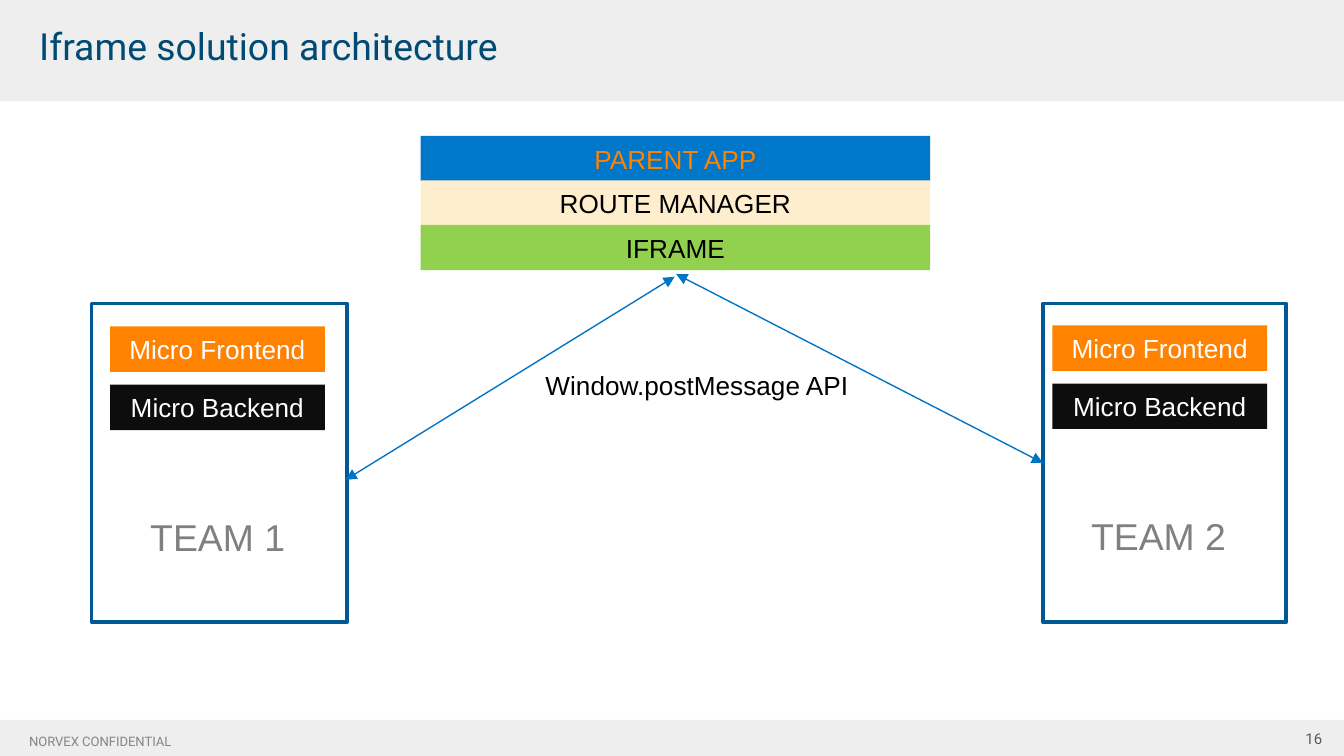
from lxml import etree
from pptx import Presentation
from pptx.dml.color import RGBColor
from pptx.enum.shapes import MSO_CONNECTOR as CONN, MSO_SHAPE as SHAPE
from pptx.enum.text import MSO_ANCHOR as ANCHOR, MSO_AUTO_SIZE as AUTO, PP_ALIGN as ALIGN
from pptx.oxml.ns import qn
from pptx.util import Cm, Pt

COLORS = {
    "band": "EEEEEE", "title": "004A74", "number": "595959", "footer": "868686",
    "blue": "0077C8", "orange": "FF8200", "cream": "FEEECD", "green": "92D050",
    "ink": "0D0D0D", "black": "000000", "white": "FFFFFF", "grey": "808080",
    "frame": "005894", "arrow": "0074C4",
}


def rgb(name):
    return RGBColor.from_string(COLORS[name])


def write(shape, text, size, color, font="Arial", align=ALIGN.LEFT,
          anchor=ANCHOR.TOP, inset=None, spacing=None):
    tf = shape.text_frame
    frame = {"word_wrap": True, "auto_size": AUTO.NONE, "vertical_anchor": anchor}
    if inset is not None:
        for side in ("left", "top", "right", "bottom"):
            frame[f"margin_{side}"] = Cm(inset)
    for name, value in frame.items():
        setattr(tf, name, value)
    p = tf.paragraphs[0]
    p.alignment = align
    if spacing:
        p.line_spacing = spacing
    r = p.add_run()
    r.text = text
    for name, value in {"size": Pt(size), "name": font, "bold": False}.items():
        setattr(r.font, name, value)
    r.font.color.rgb = rgb(color)


def add_box(s, at, fill=None, line=None):
    sp = s.shapes.add_shape(SHAPE.RECTANGLE, *map(Cm, at))
    sp.shadow.inherit = False
    if fill:
        sp.fill.solid()
        sp.fill.fore_color.rgb = rgb(fill)
    else:
        sp.fill.background()
    if line:
        sp.line.color.rgb = rgb(line)
        sp.line.width = Pt(2)
    else:
        sp.line.fill.background()
    return sp


def add_bar(s, at, text, fill, color):
    sp = add_box(s, at, fill)
    write(sp, text, 14, color, align=ALIGN.CENTER, anchor=ANCHOR.MIDDLE)


def add_label(s, at, text, size, color, **fmt):
    write(s.shapes.add_textbox(*map(Cm, at)), text, size, color, **fmt)


def add_title(s, text):
    sp = s.shapes.title
    place = {"left": 0.56, "top": 0.38, "width": 23.11, "height": 0.97}
    for name, value in place.items():
        setattr(sp, name, Cm(value))
    write(sp, text, 20, "title", font="Roboto", anchor=ANCHOR.MIDDLE, inset=0.18)


def add_arrow(s, start, end):
    line = s.shapes.add_connector(CONN.STRAIGHT, *map(Cm, start + end))
    line.line.color.rgb = rgb("arrow")
    line.line.width = Pt(0.75)
    ln = line.line._get_or_add_ln()
    for tag in ("a:headEnd", "a:tailEnd"):
        etree.SubElement(ln, qn(tag), type="triangle")
    etree.SubElement(line._element.spPr, qn("a:effectLst"))
    return line


def add_team(s, name, left, width, bar_left, bar_top, label_left):
    bars = [("Micro Frontend", "orange"), ("Micro Backend", "ink")]
    for i, (text, fill) in enumerate(bars):
        add_bar(s, (bar_left, bar_top + i * 1.1, 4.06, 0.86), text, fill, "white")
    frame = add_box(s, (left, 5.74, width, 6.02), line="frame")
    add_label(s, (label_left, bar_top + 3.43, 3.3, 1.12), name, 20, "grey")
    return frame


def main():
    prs = Presentation()
    prs.slide_width, prs.slide_height = Cm(25.4), Cm(14.29)
    s = prs.slides.add_slide(prs.slide_layouts[5])

    add_box(s, (0, 13.61, 25.4, 0.68), "band")
    header = add_box(s, (0, 0, 25.4, 1.92), "band")
    s.shapes.title._element.addprevious(header._element)
    small = {"font": "Roboto", "anchor": ANCHOR.MIDDLE, "inset": 0.25}
    add_label(s, (23.72, 13.41, 1.52, 1.09), "16", 8, "number", align=ALIGN.RIGHT, **small)
    add_label(s, (0.3, 13.74, 8.33, 0.51), "NORVEX CONFIDENTIAL", 7, "footer",
              spacing=1.15, **small)
    add_title(s, "Iframe solution architecture")

    layers = [("PARENT APP", "blue", "orange"), ("ROUTE MANAGER", "cream", "black"),
              ("IFRAME", "green", "black")]
    for i, (text, fill, color) in enumerate(layers):
        add_bar(s, (7.95, 2.57 + i * 0.84, 9.63, 0.86), text, fill, color)

    add_team(s, "TEAM 1", 1.73, 4.83, 2.08, 6.17, 2.59)
    team_2 = add_team(s, "TEAM 2", 19.71, 4.6, 19.89, 6.15, 20.37)

    add_arrow(s, (6.53, 9.07), (12.75, 5.23))
    add_arrow(s, (19.71, 8.75), (12.78, 5.18)).begin_connect(team_2, 1)
    add_label(s, (10.06, 6.86, 6.76, 0.86), "Window.postMessage API", 14, "black")

    prs.save("out.pptx")


if __name__ == "__main__":
    main()
